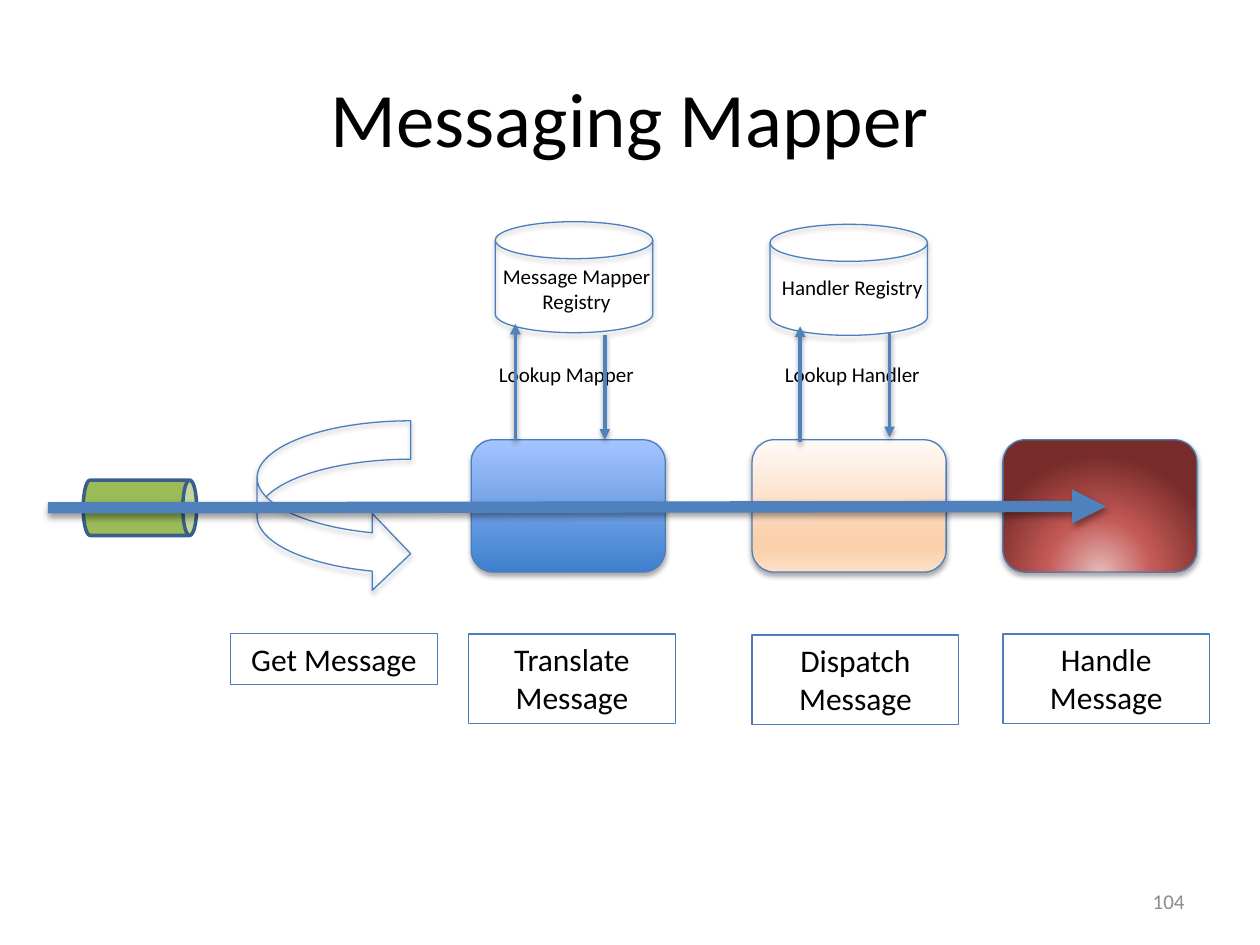
"""Build the Messaging Mapper slide: a message flow through four stages."""
import pptx
import pptx.dml.color
import pptx.enum.shapes
import pptx.enum.text
import pptx.oxml
import pptx.oxml.ns
import pptx.util
from dataclasses import dataclass

Pt = pptx.util.Pt
RGB = pptx.dml.color.RGBColor.from_string
SHAPE = pptx.enum.shapes.MSO_SHAPE
ALIGN = pptx.enum.text.PP_ALIGN
ANCHOR = pptx.enum.text.MSO_ANCHOR
NAMESPACE = pptx.oxml.ns.nsdecls("a")


@dataclass(frozen=True)
class Theme:
    font: str = "Calibri"
    text: str = "000000"
    muted: str = "8C8C8C"
    outline: str = "4B7EBC"
    arrow: str = "4F81BD"
    queue_fill: str = "9BBB59"
    queue_line: str = "3A5F8C"
    shadow: str = "000000"
    title_size: int = 44
    label_size: int = 18
    small_size: int = 12


theme = Theme()


def write_text(shape, text, size, color=theme.text, align=ALIGN.CENTER, anchor=ANCHOR.TOP):
    frame = shape.text_frame
    frame.word_wrap = True
    frame.vertical_anchor = anchor
    paragraph = frame.paragraphs[0]
    paragraph.alignment = align
    run = paragraph.add_run()
    run.text = text
    run.font.name = theme.font
    run.font.size = Pt(size)
    run.font.color.rgb = RGB(color)


def add_shadow(shape, distance, opacity):
    shape.element.spPr.append(pptx.oxml.parse_xml(
        f'<a:effectLst {NAMESPACE}><a:outerShdw blurRad="{Pt(3.1)}" dist="{Pt(distance)}" '
        f'dir="5400000" rotWithShape="0"><a:srgbClr val="{theme.shadow}">'
        f'<a:alpha val="{opacity * 1000}"/></a:srgbClr></a:outerShdw></a:effectLst>'))


presentation = pptx.Presentation()
presentation.slide_width, presentation.slide_height = Pt(720), Pt(540)
slide = presentation.slides.add_slide(presentation.slide_layouts[5])
shapes = slide.shapes

title = shapes.title
title.left, title.top, title.width, title.height = Pt(36), Pt(21.6), Pt(648), Pt(90)
write_text(title, "Messaging Mapper", theme.title_size, anchor=ANCHOR.MIDDLE)

page_number = shapes.add_textbox(Pt(516), Pt(500.5), Pt(168), Pt(28.8))
write_text(page_number, "104", theme.small_size, theme.muted, ALIGN.RIGHT, ANCHOR.MIDDLE)

queue = shapes.add_shape(SHAPE.CAN, Pt(64.1), Pt(257.8), Pt(31.7), Pt(64.8))
queue.rotation = 90
queue.fill.solid()
queue.fill.fore_color.rgb = RGB(theme.queue_fill)
queue.line.color.rgb = RGB(theme.queue_line)
queue.line.width = Pt(2)
queue.shadow.inherit = False

upward = '<a:lin ang="16200000" scaled="0"/>'
downward = '<a:lin ang="5400000" scaled="0"/>'
radial = '<a:path path="circle"><a:fillToRect l="50000" t="130000" r="50000" b="-30000"/></a:path>'
translate_fill = ([(0, "3F80CE"), (100, "A4C4FF")], upward)
dispatch_fill = ([(0, "FFFAF6"), (74, "FBD0AC"), (83, "FBD0AC"), (100, "FDE0C7")], downward)
handle_fill = ([(0, "E6B9B8"), (46, "C35956"), (100, "772C2A")], radial)

for kind, left, top, width, height, gradient in [
    (SHAPE.CURVED_RIGHT_ARROW, 146.9, 240.5, 87.8, 97.9, None),
    (SHAPE.ROUNDED_RECTANGLE, 269.3, 251.3, 110.9, 75.6, translate_fill),
    (SHAPE.ROUNDED_RECTANGLE, 429.8, 251.3, 110.9, 75.6, dispatch_fill),
    (SHAPE.ROUNDED_RECTANGLE, 573.1, 251.3, 110.9, 75.6, handle_fill),
    (SHAPE.FLOWCHART_MAGNETIC_DISK, 283, 126.7, 90, 63.4, None),
    (SHAPE.FLOWCHART_MAGNETIC_DISK, 440, 128.2, 90, 63.4, None),
]:
    shape = shapes.add_shape(kind, Pt(left), Pt(top), Pt(width), Pt(height))
    shape.fill.background()
    shape.line.color.rgb = RGB(theme.outline)
    shape.line.width = Pt(0.75)
    add_shadow(shape, 1.8, 35)
    if gradient:
        stops, direction = gradient
        stop_xml = "".join(f'<a:gs pos="{position * 1000}"><a:srgbClr val="{color}"/></a:gs>'
                           for position, color in stops)
        properties = shape.element.spPr
        properties.replace(properties.find(pptx.oxml.ns.qn("a:noFill")), pptx.oxml.parse_xml(
            f'<a:gradFill {NAMESPACE} rotWithShape="1"><a:gsLst>{stop_xml}</a:gsLst>'
            f'{direction}</a:gradFill>'))

for text, left, top, height in [
    ("Get Message", 131.8, 362.2, 28.8),
    ("Translate Message", 267.8, 362.2, 51.1),
    ("Dispatch Message", 429.8, 362.9, 51.1),
    ("Handle Message", 573.1, 362.2, 51.1),
]:
    label = shapes.add_shape(SHAPE.RECTANGLE, Pt(left), Pt(top), Pt(118.1), Pt(height))
    label.fill.background()
    label.line.color.rgb = RGB(theme.outline)
    label.line.width = Pt(0.75)
    label.shadow.inherit = False
    write_text(label, text, theme.label_size)

arrows = [
    (294.5, 251.3, 294.5, 185, 2),
    (457.2, 252.7, 457.2, 186.5, 2),
    (345.6, 191.5, 345.6, 251.3, 2),
    (508.3, 190.1, 508.3, 249.8, 2),
    (27.4, 290.2, 632.2, 289.4, 6.5),
]
captions = [
    ("Message Mapper Registry", 272.2, 146.9, 36),
    ("Handler Registry", 429.8, 153.4, 21.6),
    ("Lookup Mapper", 266.4, 203, 21.6),
    ("Lookup Handler", 429.8, 203, 21.6),
]
for text, left, top, height in captions:
    caption = shapes.add_textbox(Pt(left), Pt(top), Pt(114.5), Pt(height))
    write_text(caption, text, theme.small_size)

for start_x, start_y, end_x, end_y, width in arrows:
    arrow = shapes.add_connector(pptx.enum.shapes.MSO_CONNECTOR.STRAIGHT,
                                 Pt(start_x), Pt(start_y), Pt(end_x), Pt(end_y))
    arrow.line.color.rgb = RGB(theme.arrow)
    arrow.line.width = Pt(width)
    arrow.element.spPr.find(pptx.oxml.ns.qn("a:ln")).append(
        pptx.oxml.parse_xml(f'<a:tailEnd {NAMESPACE} type="triangle"/>'))
    add_shadow(arrow, 1.6, 38)

presentation.save("out.pptx")
